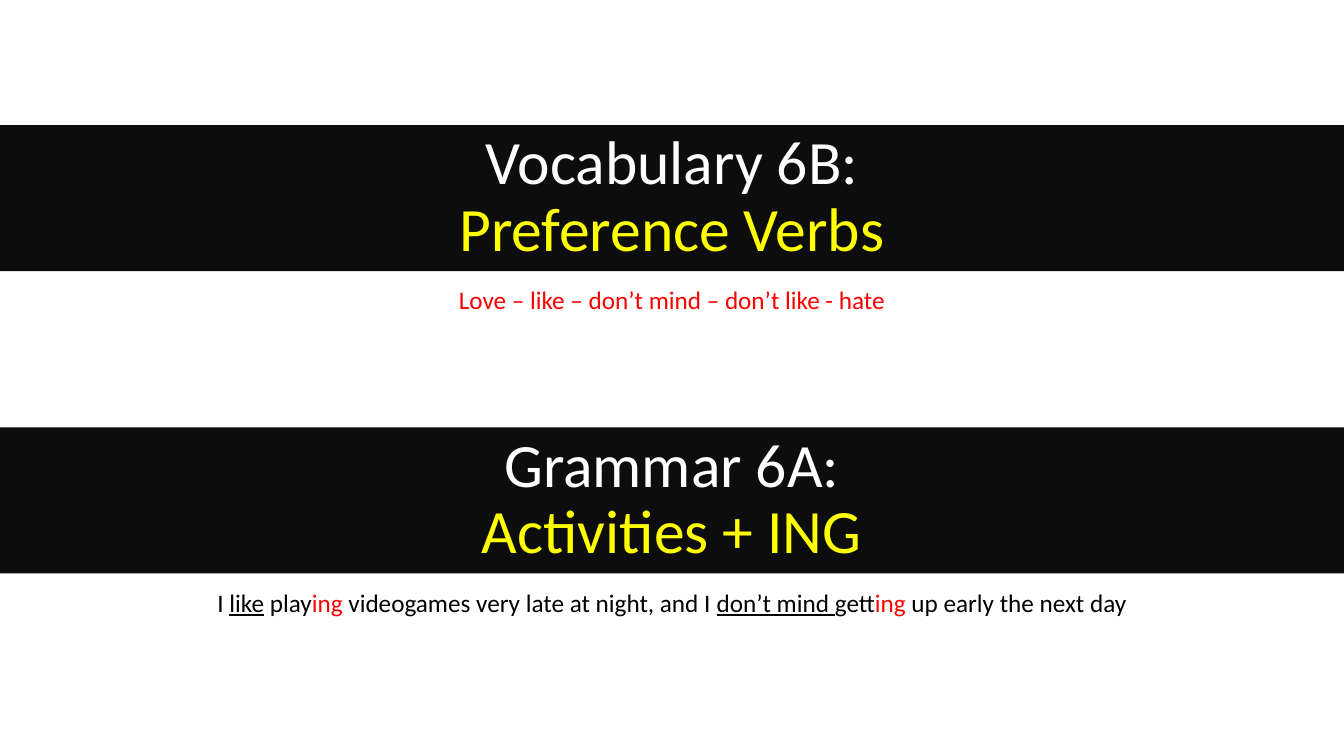
from pptx import Presentation
from pptx.dml.color import RGBColor
from pptx.enum.shapes import MSO_SHAPE
from pptx.enum.text import MSO_ANCHOR, MSO_AUTO_SIZE, PP_ALIGN
from pptx.util import Cm, Pt

COLORS = {"band": "0D0D0D", "white": "FFFFFF", "yellow": "FFFF00",
          "red": "FF0000", "black": "000000"}
SLIDE_WIDTH = Cm(33.87)
BAND_HEIGHT = Cm(3.68)
BAND_TOPS = [Cm(3.15), Cm(10.77)]
SENTENCE_OFFSET = Cm(3.9)  # from the top of a band to the sentence below it


def format_run(run, size, color):
    run.font.name = "Calibri"
    run.font.size = Pt(size)
    run.font.color.rgb = RGBColor.from_string(COLORS[color])


presentation = Presentation()
presentation.slide_width = SLIDE_WIDTH
presentation.slide_height = Cm(19.05)
slide = presentation.slides.add_slide(presentation.slide_layouts[5])

# Black heading bands
title = slide.shapes.title
title.left, title.top, title.width, title.height = 0, BAND_TOPS[0], SLIDE_WIDTH, BAND_HEIGHT
grammar_band = slide.shapes.add_shape(
    MSO_SHAPE.RECTANGLE, 0, BAND_TOPS[1], SLIDE_WIDTH, BAND_HEIGHT)
grammar_band.shadow.inherit = False

headings = [
    (title, "Vocabulary 6B:\vPreference Verbs"),
    (grammar_band, "Grammar 6A:\nActivities + ING"),
]
for band, heading in headings:
    band.fill.solid()
    band.fill.fore_color.rgb = RGBColor.from_string(COLORS["band"])
    band.line.fill.background()
    text_frame = band.text_frame
    text_frame.text = heading
    text_frame.word_wrap = True
    text_frame.auto_size = MSO_AUTO_SIZE.NONE
    text_frame.vertical_anchor = MSO_ANCHOR.MIDDLE
    for paragraph in text_frame.paragraphs:
        paragraph.alignment = PP_ALIGN.CENTER
        paragraph.line_spacing = 0.9
    runs = [run for paragraph in text_frame.paragraphs for run in paragraph.runs]
    for run, color in zip(runs, ["white", "yellow"]):
        format_run(run, 44, color)

# Example sentences: text, colour, underlined
sentences = [
    [("Love – like – don’t mind – don’t like - hate", "red", False)],
    [
        ("I ", "black", False),
        ("like", "black", True),
        (" play", "black", False),
        ("ing", "red", False),
        (" videogames very late at night, and I ", "black", False),
        ("don’t mind ", "black", True),
        ("gett", "black", False),
        ("ing", "red", False),
        (" up early the next day", "black", False),
    ],
]
for band_top, sentence in zip(BAND_TOPS, sentences):
    text_box = slide.shapes.add_textbox(0, band_top + SENTENCE_OFFSET, SLIDE_WIDTH, Cm(1.02))
    text_frame = text_box.text_frame
    text_frame.word_wrap = True
    text_frame.auto_size = MSO_AUTO_SIZE.SHAPE_TO_FIT_TEXT
    paragraph = text_frame.paragraphs[0]
    paragraph.alignment = PP_ALIGN.CENTER
    for text, color, underlined in sentence:
        run = paragraph.add_run()
        run.text = text
        format_run(run, 18, color)
        run.font.underline = underlined

presentation.save("out.pptx")
